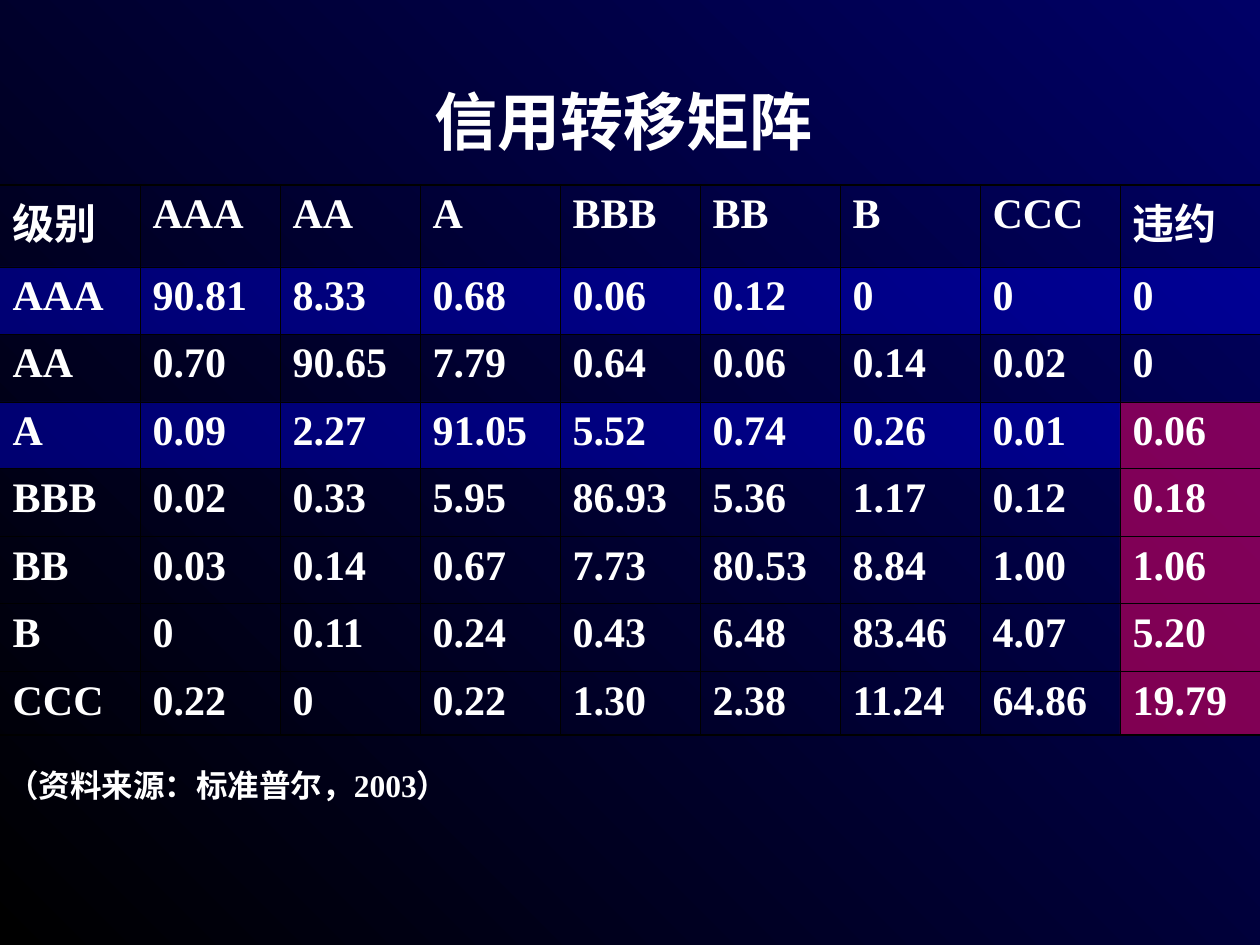
"""Build the credit transition matrix slide."""
from itertools import pairwise

from lxml.etree import SubElement
from pptx import Presentation
from pptx.dml.color import RGBColor
from pptx.enum.text import MSO_ANCHOR, MSO_AUTO_SIZE, PP_ALIGN
from pptx.oxml.ns import qn
from pptx.util import Pt

PX = 914400 // 126
TITLE = "信用转移矩阵"
SOURCE = "（资料来源：标准普尔，2003）"
MATRIX = [
    ("级别", "AAA", "AA", "A", "BBB", "BB", "B", "CCC", "违约"),
    ("AAA", "90.81", "8.33", "0.68", "0.06", "0.12", "0", "0", "0"),
    ("AA", "0.70", "90.65", "7.79", "0.64", "0.06", "0.14", "0.02", "0"),
    ("A", "0.09", "2.27", "91.05", "5.52", "0.74", "0.26", "0.01", "0.06"),
    ("BBB", "0.02", "0.33", "5.95", "86.93", "5.36", "1.17", "0.12", "0.18"),
    ("BB", "0.03", "0.14", "0.67", "7.73", "80.53", "8.84", "1.00", "1.06"),
    ("B", "0", "0.11", "0.24", "0.43", "6.48", "83.46", "4.07", "5.20"),
    ("CCC", "0.22", "0", "0.22", "1.30", "2.38", "11.24", "64.86", "19.79"),
]
ROW_EDGES = [185, 267, 334, 402, 469, 537, 604, 672, 735]
COLUMN_WIDTH = 140
LAST_ROW, LAST_COLUMN = len(MATRIX) - 1, len(MATRIX[0]) - 1
BLUE_ROWS = (1, 3)
FIRST_DEFAULT_ROW = 3
BLUE, RED, BLACK, WHITE, NAVY = "0000CC", "FF0066", "000000", "FFFFFF", "000066"
OPACITY = 50
INNER_LINE, OUTER_LINE = 0.45, 1.08
FRAME_FORMAT = {
    "word_wrap": False,
    "auto_size": MSO_AUTO_SIZE.SHAPE_TO_FIT_TEXT,
    "vertical_anchor": MSO_ANCHOR.TOP,
}


def px(*lengths):
    return [length * PX for length in lengths]


def paint(color_format, color):
    color_format.rgb = RGBColor.from_string(color)


def apply(target, values):
    for name, value in values.items():
        setattr(target, name, value)


def write(frame, text, size):
    frame.text = text
    paragraph = frame.paragraphs[0]
    paragraph.alignment = PP_ALIGN.LEFT
    font = paragraph.runs[0].font
    apply(font, {"name": "Times New Roman", "size": Pt(size), "bold": True})
    paint(font.color, WHITE)


def place(shape, box):
    apply(shape, dict(zip(("left", "top", "width", "height"), px(*box))))
    apply(shape.text_frame, FRAME_FORMAT)


def draw_border(cell, side, points):
    line = SubElement(cell._tc.get_or_add_tcPr(), qn(f"a:ln{side}"), w=str(Pt(points)))
    if points:
        solid = SubElement(line, qn("a:solidFill"))
        SubElement(solid, qn("a:srgbClr"), val=BLACK)
    else:
        SubElement(line, qn("a:noFill"))


def fill_cell(cell, row, column):
    if column == LAST_COLUMN and row >= FIRST_DEFAULT_ROW:
        color = RED
    elif row in BLUE_ROWS:
        color = BLUE
    else:
        cell.fill.background()
        return
    cell.fill.solid()
    paint(cell.fill.fore_color, color)
    swatch = cell._tc.tcPr.find(f".//{qn('a:solidFill')}[last()]/../{qn('a:solidFill')}/{qn('a:srgbClr')}")
    swatch = cell._tc.tcPr.find(f"{qn('a:solidFill')}/{qn('a:srgbClr')}")
    SubElement(swatch, qn("a:alpha"), val=str(OPACITY * 1000))


def add_matrix(slide):
    box = px(0, ROW_EDGES[0], COLUMN_WIDTH * len(MATRIX[0]), ROW_EDGES[-1] - ROW_EDGES[0])
    matrix = slide.shapes.add_table(len(MATRIX), len(MATRIX[0]), *box).table
    apply(matrix, {"first_row": False, "horz_banding": False})
    for column in matrix.columns:
        column.width = COLUMN_WIDTH * PX
    for row, (top, bottom) in zip(matrix.rows, pairwise(ROW_EDGES)):
        row.height = (bottom - top) * PX
    for r, values in enumerate(MATRIX):
        for c, value in enumerate(values):
            cell = matrix.cell(r, c)
            write(cell.text_frame, value, 24)
            borders = {
                "L": INNER_LINE if c else 0,
                "R": INNER_LINE if c < LAST_COLUMN else 0,
                "T": INNER_LINE if r else OUTER_LINE,
                "B": INNER_LINE if r < LAST_ROW else OUTER_LINE,
            }
            for side, points in borders.items():
                draw_border(cell, side, points)
            fill_cell(cell, r, c)


def main():
    deck = Presentation()
    apply(deck, dict(zip(("slide_width", "slide_height"), px(1260, 945))))
    slide = deck.slides.add_slide(deck.slide_layouts[5])
    backdrop = slide.background.fill
    backdrop.gradient()
    backdrop.gradient_angle = 225
    for stop, color in zip(backdrop.gradient_stops, (NAVY, BLACK)):
        paint(stop.color, color)
    add_matrix(slide)
    title = slide.shapes.title
    place(title, (422, 76, 527, 88))
    write(title.text_frame, TITLE, 36)
    source = slide.shapes.add_textbox(0, 0, 0, 0)
    place(source, (-5, 760, 525, 50))
    write(source.text_frame, SOURCE, 18)
    deck.save("out.pptx")


if __name__ == "__main__":
    main()
